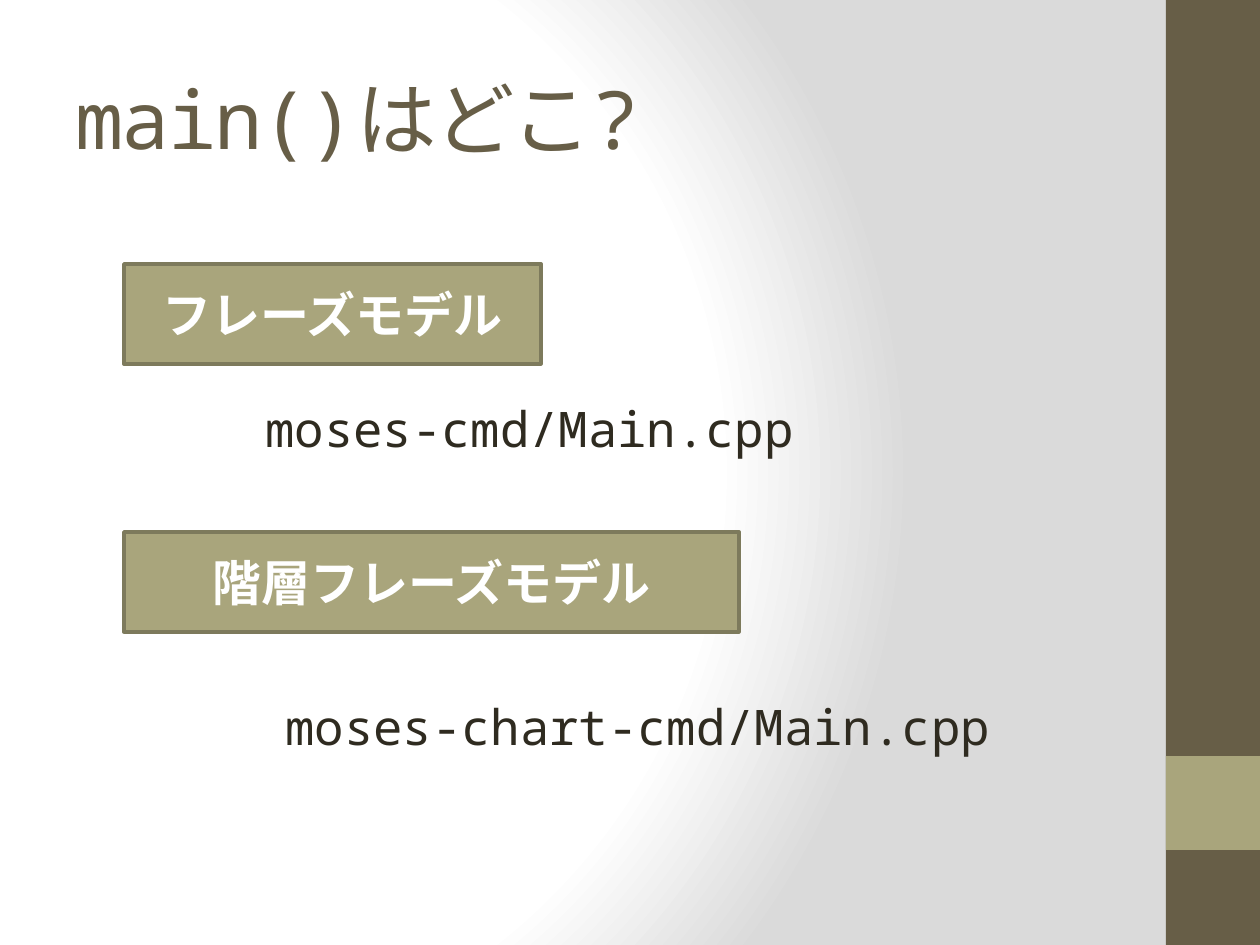
import pptx
import pptx.util
import pptx.dml.color
import pptx.oxml
import pptx.oxml.ns
import pptx.enum.shapes
import pptx.enum.text
from lxml import etree

SCALE = 914400 / 126
ANCHOR = pptx.enum.text.MSO_ANCHOR
ALIGN = pptx.enum.text.PP_ALIGN


def px(n):
    return pptx.util.Emu(round(n * SCALE))


def color(code):
    return pptx.dml.color.RGBColor.from_string(code)


class Deck:
    font = "Noto Sans Mono"
    dark, khaki, edge, ink = "675E47", "A9A57C", "7D7A5C", "2F2B20"

    def __init__(self, wide, high):
        self.prs = pptx.Presentation()
        self.prs.slide_width, self.prs.slide_height = px(wide), px(high)
        self.slide = self.prs.slides.add_slide(self.prs.slide_layouts[6])

    def glow(self, stops):
        """Round gradient behind the whole slide."""
        marks = "".join(
            f'<a:gs pos="{pos * 1000}"><a:srgbClr val="{code}"/></a:gs>'
            for pos, code in stops)
        back = pptx.oxml.parse_xml(
            f'<p:bg {pptx.oxml.ns.nsdecls("p", "a")}><p:bgPr>'
            f'<a:gradFill rotWithShape="1"><a:gsLst>{marks}</a:gsLst>'
            '<a:path path="circle">'
            '<a:fillToRect l="20000" t="50000" r="100000" b="50000"/>'
            '</a:path></a:gradFill><a:effectLst/></p:bgPr></p:bg>')
        self.slide.element.cSld.insert(0, back)

    def words(self, shape, text, size, code, bold=False, track=None):
        frame = shape.text_frame
        frame.text = text
        run = frame.paragraphs[0].runs[0]
        run.font.name = self.font
        run.font.size = pptx.util.Pt(size)
        run.font.bold = bold
        run.font.color.rgb = color(code)
        props = run._r.get_or_add_rPr()
        etree.SubElement(props, pptx.oxml.ns.qn("a:ea"), typeface=self.font)
        if track:
            props.set("spc", str(track * 100))
        return frame

    def block(self, x, y, w, h, fill, line=None):
        shape = self.slide.shapes.add_shape(
            pptx.enum.shapes.MSO_SHAPE.RECTANGLE, px(x), px(y), px(w), px(h))
        shape.shadow.inherit = False
        shape.fill.solid()
        shape.fill.fore_color.rgb = color(fill)
        if line:
            shape.line.color.rgb = color(line)
            shape.line.width = pptx.util.Pt(2)
        else:
            shape.line.fill.background()
        return shape

    def label(self, x, y, w, h, text):
        shape = self.block(x, y, w, h, self.khaki, self.edge)
        frame = self.words(shape, text, 28, "FFFFFF", bold=True)
        frame.vertical_anchor = ANCHOR.MIDDLE
        frame.paragraphs[0].alignment = ALIGN.CENTER

    def title(self, x, y, w, h, text):
        box = self.slide.shapes.add_textbox(px(x), px(y), px(w), px(h))
        frame = self.words(box, text, 46, self.dark, track=-1)
        frame.word_wrap = True
        frame.vertical_anchor = ANCHOR.MIDDLE

    def note(self, x, y, w, h, text):
        box = self.slide.shapes.add_textbox(px(x), px(y), px(w), px(h))
        frame = self.words(box, text, 28, self.ink)
        frame.word_wrap = False
        frame.auto_size = pptx.enum.text.MSO_AUTO_SIZE.SHAPE_TO_FIT_TEXT


deck = Deck(1260, 945)

# Background and side bar
deck.glow([(0, "FFFFFF"), (75, "FFFFFF"), (100, "DADADA")])
deck.block(1166, 0, 94, 945, deck.dark)
deck.block(1166, 756, 94, 94, deck.khaki)

# Title
deck.title(63, 38, 1050, 158, "main()はどこ?")

# Models and their source files
deck.label(124, 264, 417, 100, "フレーズモデル")
deck.note(253, 392, 558, 72, "moses-cmd/Main.cpp")
deck.label(124, 532, 615, 100, "階層フレーズモデル")
deck.note(273, 690, 736, 72, "moses-chart-cmd/Main.cpp")

deck.prs.save("out.pptx")
